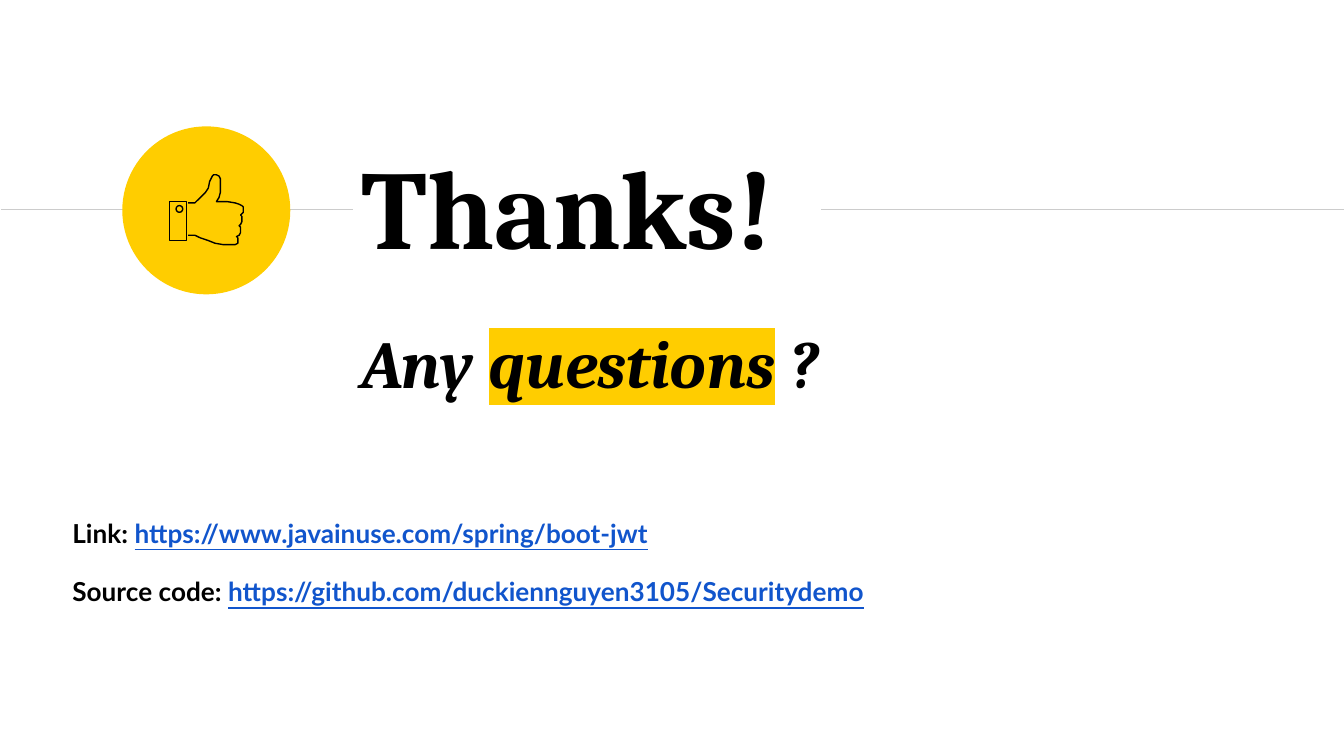
from lxml import etree
from pptx import Presentation
from pptx import util as u
from pptx.dml.color import RGBColor
from pptx.enum import shapes, text
from pptx.oxml.ns import qn

HEX = {"black": "000000", "gold": "FFCD00", "grey": "CCCCCC", "blue": "1155CC"}

# Outline of the hand, in hundredths of an inch on the slide
HAND = [
    (140, 175), (145, 175), (149, 177), (155, 179), (160, 181), (166, 182),
    (175, 182), (177, 181), (177, 177), (176, 176), (178, 175), (179, 173),
    (179, 169), (178, 168), (179, 167), (180, 165), (180, 161), (179, 160),
    (180, 159), (181, 158), (181, 154), (180, 153), (178, 152), (175, 151),
    (169, 150), (161, 150), (163, 147), (164, 143), (164, 133), (163, 131),
    (161, 130), (159, 130), (158, 131), (156, 135), (155, 140), (153, 143),
    (148, 148), (145, 151), (140, 151),
]


def color(name):
    return RGBColor.from_string(HEX[name])


def place(item, left, top, width, height):
    item.left, item.top = u.Inches(left), u.Inches(top)
    item.width, item.height = u.Inches(width), u.Inches(height)


def set_frame(frame, anchor):
    frame.word_wrap = True
    frame.auto_size = text.MSO_AUTO_SIZE.NONE
    frame.vertical_anchor = anchor
    frame.margin_left = frame.margin_right = u.Inches(0.1)
    frame.margin_top = frame.margin_bottom = u.Inches(0.1)


def add_box(slide, left, top, width, height):
    box = slide.shapes.add_textbox(0, 0, 0, 0)
    place(box, left, top, width, height)
    set_frame(box.text_frame, text.MSO_ANCHOR.TOP)
    return box.text_frame


def add_run(para, words, size, face, tint="black", mark=None):
    """Add a bold run; mark names a highlight colour."""
    run = para.add_run()
    run.text = words
    font = run.font
    font.size, font.name, font.bold = u.Pt(size), face, True
    font.color.rgb = color(tint)
    if mark:
        light = etree.Element(qn("a:highlight"))
        etree.SubElement(light, qn("a:srgbClr"), val=HEX[mark])
        font._element.find(qn("a:latin")).addprevious(light)
    return run


def add_rule(slide, start, end, y):
    rule = slide.shapes.add_connector(
        shapes.MSO_CONNECTOR.STRAIGHT,
        u.Inches(start), u.Inches(y), u.Inches(end), u.Inches(y))
    rule.line.color.rgb = color("grey")
    rule.line.width = u.Pt(0.75)
    etree.SubElement(rule._element.spPr, qn("a:effectLst"))


def set_line(shape):
    """Leave the shape as a thin black outline."""
    shape.shadow.inherit = False
    shape.fill.background()
    shape.line.color.rgb = color("black")
    shape.line.width = u.Pt(0.75)


def add_shape(slide, kind, left, top, width, height):
    return slide.shapes.add_shape(
        kind, *map(u.Inches, (left, top, width, height)))


def add_badge(slide):
    oval = shapes.MSO_SHAPE.OVAL
    disc = add_shape(slide, oval, 0.91, 0.94, 1.25, 1.25)
    disc.shadow.inherit = False
    disc.fill.solid()
    disc.fill.fore_color.rgb = color("gold")
    disc.line.fill.background()

    set_line(add_shape(
        slide, shapes.MSO_SHAPE.RECTANGLE, 1.26, 1.5, 0.13, 0.29))
    set_line(add_shape(slide, oval, 1.31, 1.53, 0.05, 0.05))

    path = slide.shapes.build_freeform(*HAND[0], scale=u.Inches(0.01))
    path.add_line_segments(HAND[1:], close=False)
    set_line(path.convert_to_shape())


def add_title(slide):
    title = slide.shapes.title
    place(title, 2.59, 0.89, 5.37, 1.27)
    set_frame(title.text_frame, text.MSO_ANCHOR.MIDDLE)
    para = title.text_frame.paragraphs[0]
    para.alignment = text.PP_ALIGN.LEFT
    add_run(para, "Thanks!", 60, "Cambria")


def add_prompt(slide):
    frame = add_box(slide, 2.59, 2.29, 5.49, 0.86)
    para = frame.paragraphs[0]
    for words, mark in (("Any ", None), ("questions", "gold"), (" ?", None)):
        run = add_run(para, words, 36, "Cambria", mark=mark)
        run.font.italic = True


def add_links(slide, links):
    frame = add_box(slide, 0.44, 3.63, 9.12, 0.69)
    for index, (label, url) in enumerate(links):
        para = frame.add_paragraph() if index else frame.paragraphs[0]
        para.line_spacing = 1.5
        if index:
            para.space_before = u.Pt(6)
        add_run(para, label, 14, "Lato")
        add_run(para, url, 14, "Lato", "blue").font.underline = True


def main():
    deck = Presentation()
    deck.slide_width = u.Inches(10)
    deck.slide_height = deck.slide_width * 9 // 16
    slide = deck.slides.add_slide(deck.slide_layouts[5])
    add_rule(slide, 0.01, 2.63, 1.56)
    add_rule(slide, 6.11, 10, 1.56)
    add_title(slide)
    add_prompt(slide)
    add_badge(slide)
    add_links(slide, [
        ("Link: ", "https://www.javainuse.com/spring/boot-jwt"),
        ("Source code: ", "https://github.com/duckiennguyen3105/Securitydemo"),
    ])
    deck.save("out.pptx")


if __name__ == "__main__":
    main()
